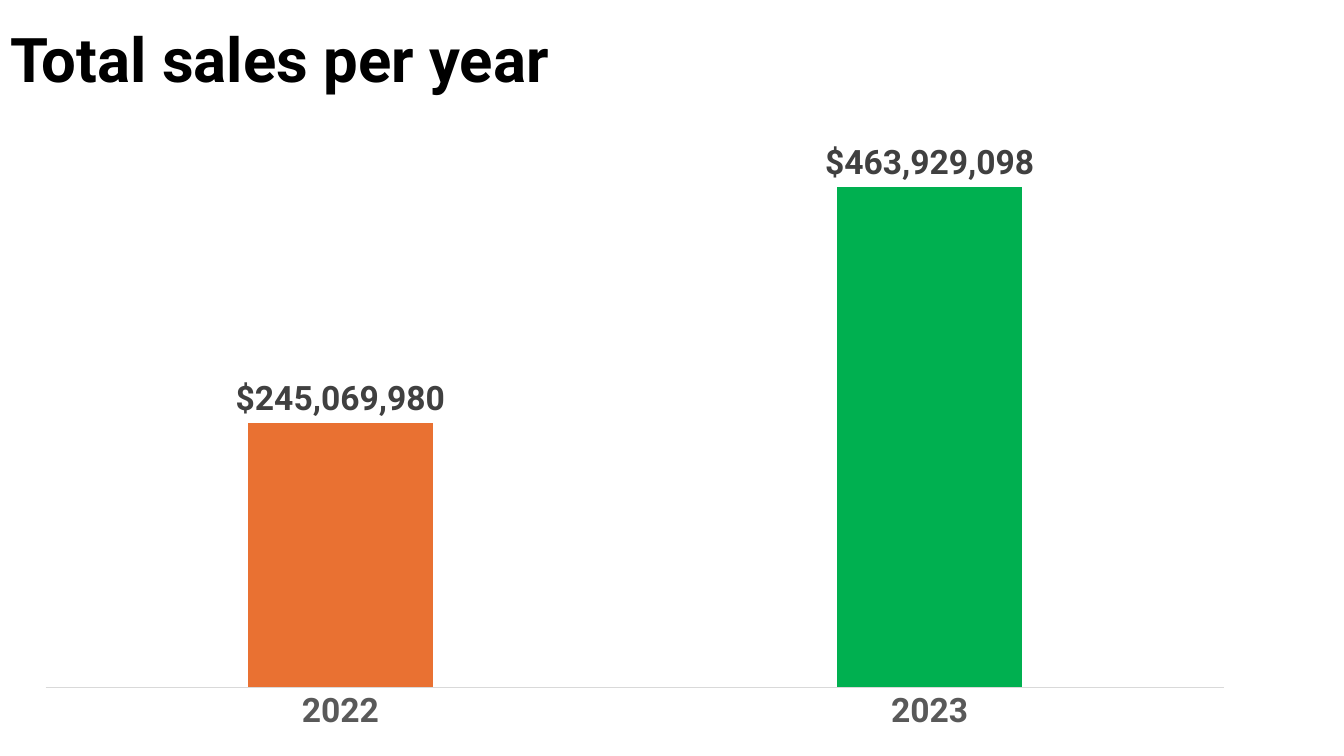
from lxml.etree import SubElement
from pptx import Presentation
from pptx.chart.data import CategoryChartData
from pptx.dml.color import RGBColor
from pptx.enum.chart import XL_CHART_TYPE, XL_LABEL_POSITION, XL_TICK_MARK
from pptx.enum.text import MSO_ANCHOR, PP_ALIGN
from pptx.oxml.ns import qn
from pptx.util import Inches, Pt

FONT = "Roboto"
BLACK = RGBColor(0x00, 0x00, 0x00)
ORANGE = RGBColor(0xE9, 0x71, 0x32)
GREEN = RGBColor(0x00, 0xB0, 0x50)
LABEL_GRAY = RGBColor(0x40, 0x40, 0x40)
AXIS_GRAY = RGBColor(0x59, 0x59, 0x59)
LINE_GRAY = RGBColor(0xD9, 0xD9, 0xD9)
DOLLARS = '"$"#,##0'
SALES = {"2022": 245069980, "2023": 463929098}


def format_font(font, size, color, bold=False):
    """Apply the slide's typeface with a size, colour and weight."""
    font.name = FONT
    font.size = Pt(size)
    font.bold = bold
    font.color.rgb = color


def write_text(frame, text, *, size, color, bold=False, align=PP_ALIGN.LEFT,
               anchor=MSO_ANCHOR.MIDDLE, line_spacing=0.9):
    """Write one formatted paragraph into a text frame."""
    frame.word_wrap = True
    frame.vertical_anchor = anchor
    paragraph = frame.paragraphs[0]
    paragraph.alignment = align
    paragraph.line_spacing = line_spacing
    run = paragraph.add_run()
    run.text = text
    format_font(run.font, size, color, bold)


def add_title(slide, text):
    """Place and fill the title placeholder."""
    title = slide.shapes.title
    title.left, title.top = Inches(0), Inches(0)
    title.width, title.height = Inches(12.42), Inches(1.25)
    write_text(title.text_frame, text, size=44, color=BLACK, bold=True)


def set_plot_layout(chart, **bounds):
    """Fix the inner plot area as fractions of the chart."""
    plot_area = chart._chartSpace.chart.plotArea
    for previous in plot_area.findall(qn("c:layout")):
        plot_area.remove(previous)
    layout = plot_area.makeelement(qn("c:layout"))
    plot_area.insert(0, layout)
    manual = SubElement(layout, qn("c:manualLayout"))
    settings = {"layoutTarget": "inner", "xMode": "edge", "yMode": "edge", **bounds}
    for name, value in settings.items():
        SubElement(manual, qn(f"c:{name}")).set("val", str(value))


def style_axes(chart):
    """Show only the year axis and scale the hidden sales axis."""
    years = chart.category_axis
    years.major_tick_mark = years.minor_tick_mark = XL_TICK_MARK.NONE
    years.has_major_gridlines = False
    years.format.line.color.rgb = LINE_GRAY
    years.format.line.width = Pt(0.75)
    format_font(years.tick_labels.font, 24, AXIS_GRAY, bold=True)
    sales = chart.value_axis
    sales.minimum_scale, sales.maximum_scale = 0, 500000000
    sales.has_major_gridlines = False
    sales.tick_labels.number_format = DOLLARS
    sales.tick_labels.number_format_is_linked = False
    sales.visible = False


def style_columns(chart):
    """Colour, space and label the yearly columns."""
    plot = chart.plots[0]
    plot.gap_width, plot.overlap = 219, -27
    plot.vary_by_categories = False
    columns = plot.series[0]
    columns.invert_if_negative = False
    columns.format.fill.solid()
    columns.format.fill.fore_color.rgb = ORANGE
    latest = columns.points[1].format.fill
    latest.solid()
    latest.fore_color.rgb = GREEN
    labels = columns.data_labels
    labels.show_value = True
    labels.position = XL_LABEL_POSITION.OUTSIDE_END
    labels.number_format = DOLLARS
    labels.number_format_is_linked = False
    format_font(labels.font, 24, LABEL_GRAY, bold=True)


def add_sales_chart(slide):
    """Add the column chart of sales by year."""
    data = CategoryChartData(number_format=DOLLARS)
    data.categories = list(SALES)
    data.add_series("Series 1", list(SALES.values()))
    chart = slide.shapes.add_chart(
        XL_CHART_TYPE.COLUMN_CLUSTERED,
        Inches(0), Inches(1.12), Inches(13.33), Inches(6.38), data).chart
    chart.has_legend = False
    chart.has_title = False
    format_font(chart.font, 10, BLACK)
    set_plot_layout(chart, x=0.034, y=0.055, w=0.877, h=0.838)
    style_axes(chart)
    style_columns(chart)


def main():
    """Build and save the sales slide."""
    deck = Presentation()
    deck.slide_width, deck.slide_height = Inches(13.33), Inches(7.5)
    slide = deck.slides.add_slide(deck.slide_layouts[5])
    add_title(slide, "Total sales per year")
    add_sales_chart(slide)
    deck.save("out.pptx")


if __name__ == "__main__":
    main()
